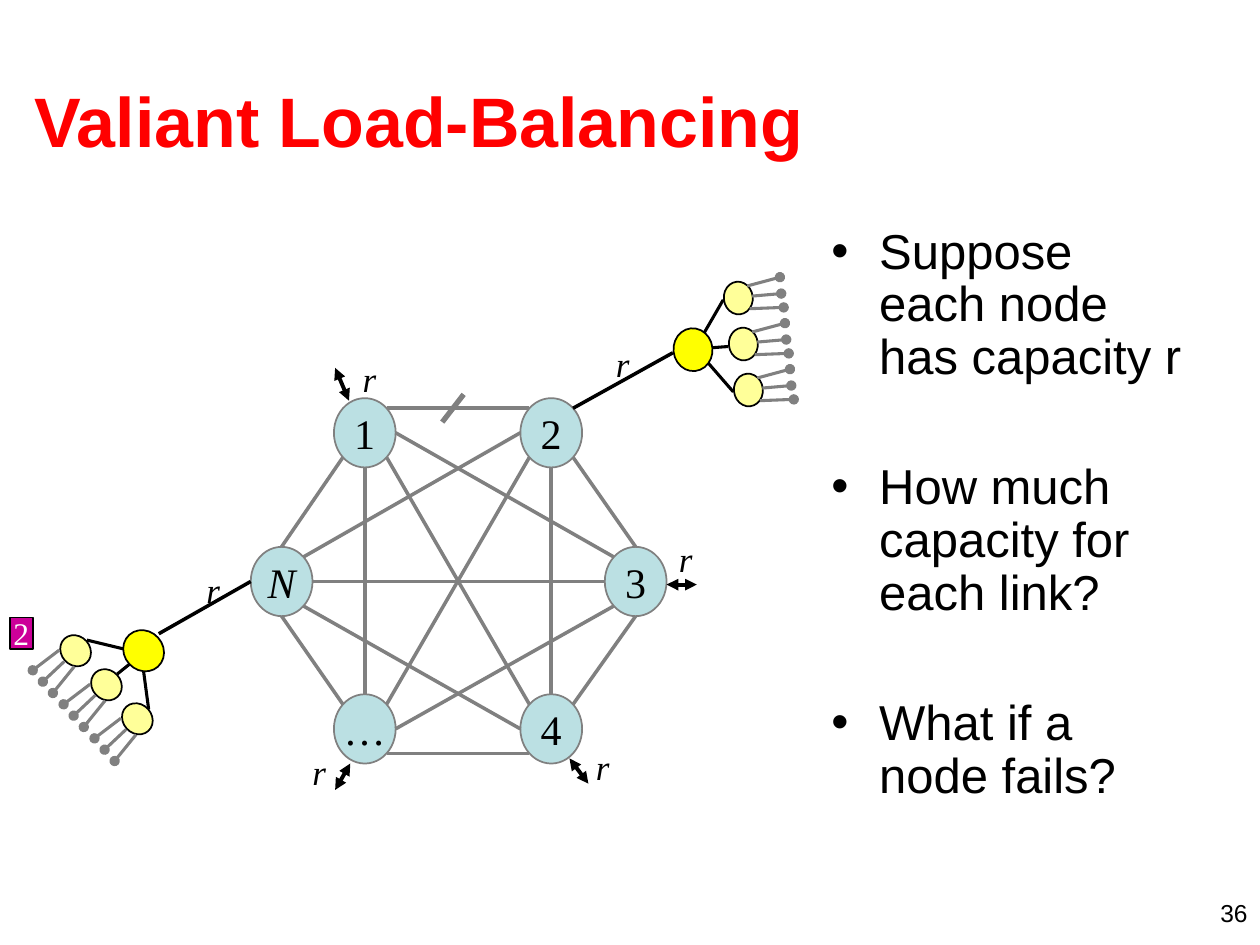
from math import cos, pi, sin

from lxml.etree import SubElement
from pptx import Presentation
from pptx.dml.color import RGBColor
from pptx.enum.shapes import MSO_CONNECTOR, MSO_SHAPE
from pptx.enum.text import MSO_ANCHOR, PP_ALIGN
from pptx.oxml.ns import qn
from pptx.util import Inches, Pt

BLACK = RGBColor(0x00, 0x00, 0x00)
WHITE = RGBColor(0xFF, 0xFF, 0xFF)
RED = RGBColor(0xFF, 0x00, 0x00)
GRAY = RGBColor(0x80, 0x80, 0x80)
TEAL = RGBColor(0xBB, 0xE0, 0xE3)
YELLOW = RGBColor(0xFF, 0xFF, 0x00)
CREAM = RGBColor(0xFF, 0xFF, 0x99)
PINK = RGBColor(0xCC, 0x00, 0x99)
SANS, SERIF = "Arial", "Times New Roman"

NODE_W, NODE_H = 0.49, 0.55
NODES = {"1": (2.65, 3.16), "2": (4.13, 3.16), "3": (4.8, 4.34),
         "4": (4.13, 5.51), "…": (2.65, 5.51), "N": (1.99, 4.34)}
# Rim sites run counter-clockwise in eighths of a turn, from 0 at the top.
LINKS = [("1", 7, "2", 1), ("1", 3, "N", 0), ("2", 5, "3", 0),
         ("N", 6, "3", 2), ("1", 6, "3", 1), ("N", 7, "2", 2),
         ("…", 0, "1", 4), ("…", 7, "2", 3), ("N", 4, "…", 1),
         ("…", 6, "3", 3), ("N", 5, "4", 2), ("…", 5, "4", 3),
         ("4", 1, "1", 5), ("2", 4, "4", 0), ("3", 4, "4", 7)]
ARROWS = [((2.66, 2.92), (2.77, 3.18)), ((4.52, 6.02), (4.67, 6.22)),
          ((5.29, 4.64), (5.53, 4.64)), ((2.78, 6.06), (2.66, 6.27))]
RATES = [(2.78, 2.79), (4.63, 5.87), (5.29, 4.22), (2.38, 5.91),
         (4.79, 2.67), (1.54, 4.46)]
# Twig ends are offsets from the corner of their leaf.
TREES = [
    {"hub": (0.97, 5.01), "turn": 48, "leaf": (0.47, 5.05), "step": (0.245, 0.27),
     "arms": [((1.03, 5.27), (0.93, 5.35)), ((0.98, 5.15), (0.69, 5.08)),
              ((1.14, 5.33), (1.18, 5.63))],
     "twigs": [((0.04, 0.2), (-0.13, 0.36)), ((0.12, 0.24), (-0.05, 0.45)),
               ((0, 0.11), (-0.21, 0.27))]},
    {"hub": (5.33, 2.62), "turn": 264, "leaf": (5.73, 2.25), "step": (0.04, 0.365),
     "arms": [((5.65, 2.76), (5.78, 2.75)), ((5.62, 2.88), (5.82, 3.11)),
              ((5.59, 2.64), (5.74, 2.38))],
     "twigs": [((0.24, 0.1), (0.47, 0.08)), ((0.2, 0.02), (0.46, -0.05)),
               ((0.22, 0.2), (0.49, 0.19))]},
]
POINTS = ["Suppose each node has capacity r",
          "How much capacity for each link?",
          "What if a node fails?"]


def write(frame, text, size=20, font=SERIF, color=BLACK, bold=False,
          italic=False, align=PP_ALIGN.LEFT, anchor=MSO_ANCHOR.TOP, wrap=False):
    """Fill a text frame, one paragraph per line of text."""
    frame.text = text
    frame.word_wrap = wrap
    frame.vertical_anchor = anchor
    for para in frame.paragraphs:
        para.alignment = align
        for run in para.runs:
            style = run.font
            style.size, style.name = Pt(size), font
            style.bold, style.italic = bold, italic
            style.color.rgb = color


def shift(base, move, times=1):
    """Return a point moved by a number of steps."""
    return base[0] + move[0] * times, base[1] + move[1] * times


def rim(name, site):
    """Return a point on the edge of a node."""
    left, top = NODES[name]
    turn = site * pi / 4
    return (left + NODE_W / 2 * (1 - sin(turn)),
            top + NODE_H / 2 * (1 - cos(turn)))


class Board:
    """Draws elements on one slide in a common style."""

    def __init__(self, deck):
        """Add a title-only slide."""
        self.slide = deck.slides.add_slide(deck.slide_layouts[5])
        self.edge = 1

    def title(self, text, x, y, w, h):
        """Place and format the title."""
        box = self.slide.shapes.title
        box.left, box.top = Inches(x), Inches(y)
        box.width, box.height = Inches(w), Inches(h)
        write(box.text_frame, text, size=40, font=SANS, color=RED, bold=True,
              anchor=MSO_ANCHOR.MIDDLE, wrap=True)

    def label(self, text, x, y, w, h, **form):
        """Add a text box and return its frame."""
        box = self.slide.shapes.add_textbox(Inches(x), Inches(y),
                                            Inches(w), Inches(h))
        write(box.text_frame, text, **form)
        return box.text_frame

    def bullets(self, items, x, y, w, h):
        """Add a bulleted list with wide gaps."""
        frame = self.label("\n".join(items), x, y, w, h, size=28,
                           font=SANS, wrap=True)
        for num, para in enumerate(frame.paragraphs):
            para.line_spacing = 0.9
            para.space_before = Pt(44 if num else 7)
            props = para._p.get_or_add_pPr()
            props.set("marL", str(Inches(0.38)))
            props.set("indent", str(Inches(-0.38)))
            SubElement(props, qn("a:buFont")).set("typeface", SANS)
            SubElement(props, qn("a:buChar")).set("char", "•")

    def shape(self, kind, x, y, w, h, fill, line=BLACK, turn=0, text="", **form):
        """Add a filled shape with optional centred text."""
        item = self.slide.shapes.add_shape(kind, Inches(x), Inches(y),
                                           Inches(w), Inches(h))
        item.shadow.inherit = False
        item.rotation = turn
        item.fill.solid()
        item.fill.fore_color.rgb = fill
        item.line.color.rgb = line
        item.line.width = Pt(self.edge)
        if text:
            write(item.text_frame, text, align=PP_ALIGN.CENTER,
                  anchor=MSO_ANCHOR.MIDDLE, **form)

    def line(self, start, end, color=GRAY, width=2.0, head=None, tail=None):
        """Add a straight line with optional end marks."""
        ends = [Inches(v) for v in (*start, *end)]
        item = self.slide.shapes.add_connector(MSO_CONNECTOR.STRAIGHT, *ends)
        item.line.color.rgb = color
        item.line.width = Pt(width)
        for tag, mark in (("a:headEnd", head), ("a:tailEnd", tail)):
            if mark:
                SubElement(item.get_or_add_ln(), qn(tag)).set("type", mark)
        SubElement(item._element.spPr, qn("a:effectLst"))

    def tree(self, hub, turn, leaf, step, arms, twigs):
        """Add a hub with three leaves and their twigs."""
        oval = MSO_SHAPE.OVAL
        self.shape(oval, *hub, 0.34, 0.31, YELLOW, turn=turn)
        for start, end in arms:
            self.line(start, end, BLACK, 1.75)
        for num in range(3):
            spot = shift(leaf, step, num)
            self.shape(oval, *spot, 0.26, 0.23, CREAM, turn=turn)
            for start, end in twigs:
                self.line(shift(spot, start), shift(spot, end),
                          width=1.75, tail="oval")


def main():
    """Build the slide and save it."""
    deck = Presentation()
    deck.slide_width, deck.slide_height = Inches(10), Inches(7.5)
    board = Board(deck)
    board.title("Valiant Load-Balancing", 0.17, 0.32, 9.58, 1.25)
    board.bullets(POINTS, 6.5, 1.75, 3, 4.95)
    for name, spot in NODES.items():
        board.shape(MSO_SHAPE.OVAL, *spot, NODE_W, NODE_H, TEAL, GRAY,
                    text=name, size=24, italic=name == "N")
    for one, out, two, into in LINKS:
        board.line(rim(one, out), rim(two, into))
    board.line((1.26, 5.03), rim("N", 2), BLACK)
    for tree in TREES:
        board.tree(**tree)
    board.line(rim("2", 7), (5.34, 2.8), BLACK)
    for start, end in ARROWS:
        board.line(start, end, BLACK, 2.25, "triangle", "triangle")
    board.line((3.68, 3.13), (3.51, 3.35), width=3)
    for spot in RATES:
        board.label("r", *spot, 0.31, 0.44, italic=True)
    board.shape(MSO_SHAPE.RECTANGLE, 0.08, 4.9, 0.18, 0.25, PINK,
                text="2", size=18, color=WHITE)
    board.label("36", 7.67, 7.08, 2.33, 0.25, size=14, font=SANS,
                align=PP_ALIGN.RIGHT, wrap=True)
    deck.save("out.pptx")


main()
